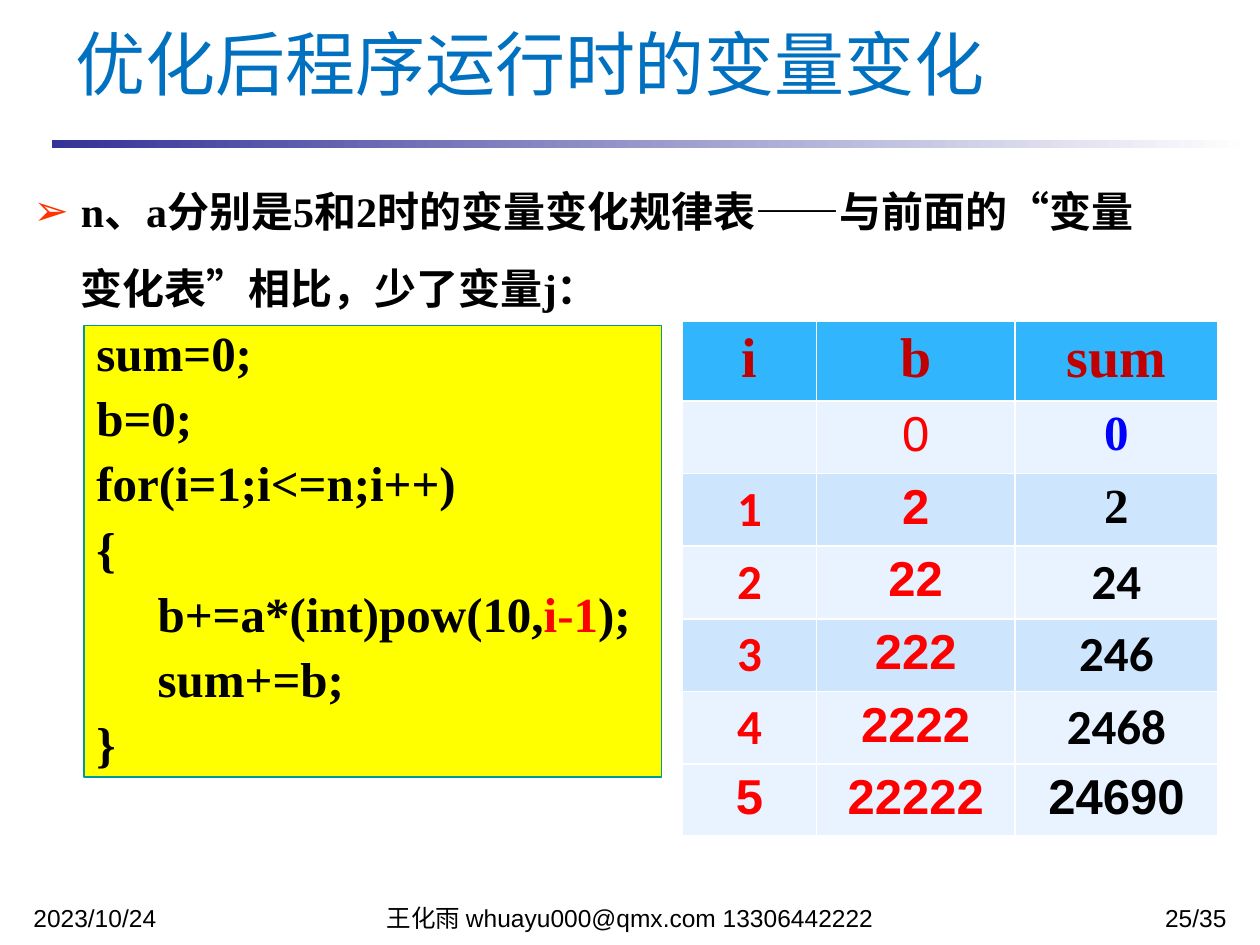
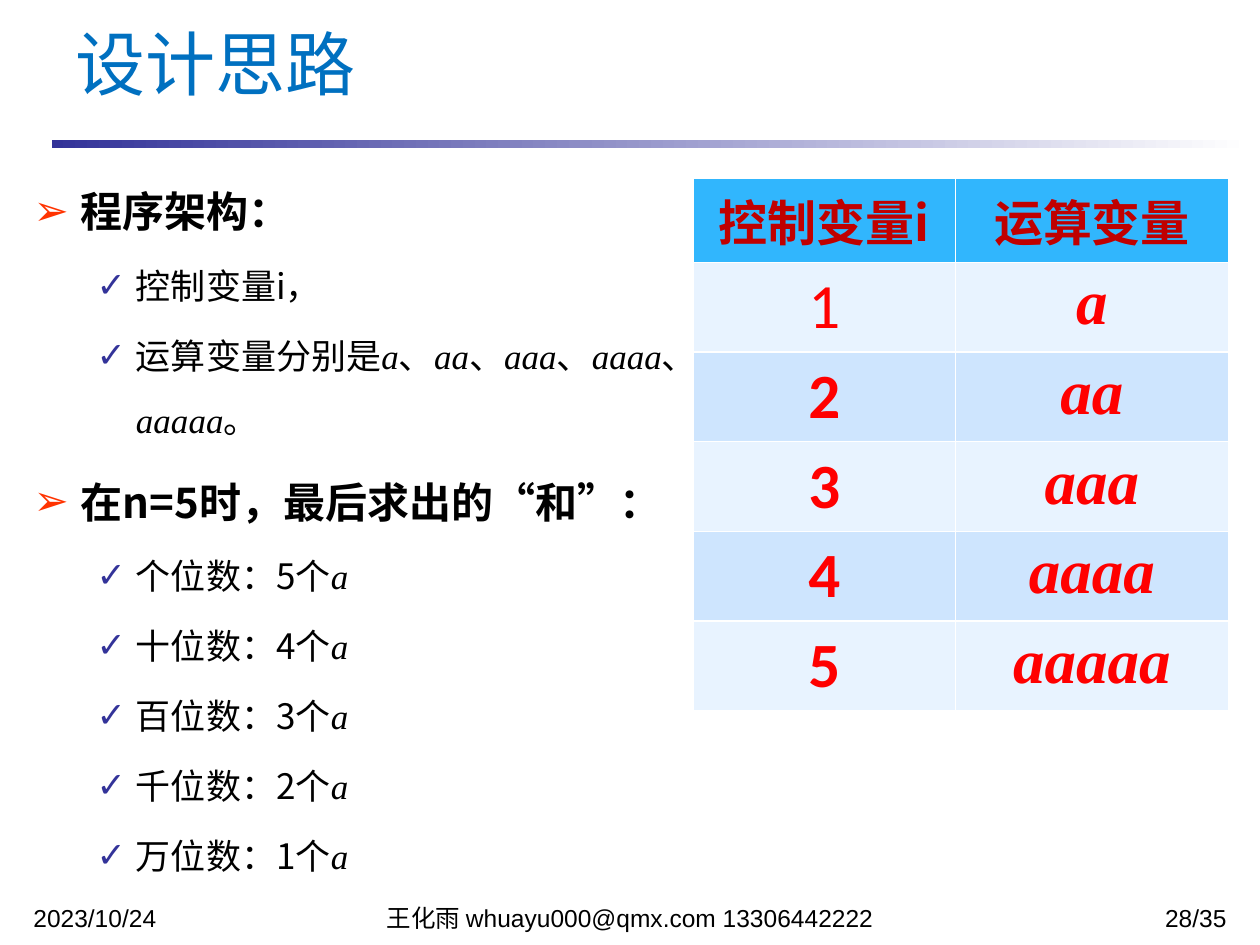
import dataclasses
import itertools

import lxml.etree
import pptx
import pptx.dml.color
import pptx.enum.shapes
import pptx.enum.text
import pptx.oxml.ns
import pptx.util

Pt = pptx.util.Pt
ALIGN = pptx.enum.text.PP_ALIGN
ANCHOR = pptx.enum.text.MSO_ANCHOR
RECT = pptx.enum.shapes.MSO_SHAPE.RECTANGLE


@dataclasses.dataclass(frozen=True)
class Theme:
    serif: str = "Times New Roman"
    sans: str = "Arial"
    digits: str = "Calibri"
    cjk: str = "Noto Sans CJK SC"
    black: str = "000000"
    white: str = "FFFFFF"
    title: str = "0070C0"
    navy: str = "333399"
    orange: str = "FF3300"
    red: str = "FF0000"
    blue: str = "0000FF"
    head_text: str = "C00000"
    head_fill: str = "31B6FD"
    light: str = "E8F3FF"
    dark: str = "CEE5FE"
    code_fill: str = "FFFF00"
    code_line: str = "009999"
    title_size: int = 40
    table_large: int = 36
    table_head: int = 32
    code_size: int = 28
    body_size: int = 24
    sub_size: int = 20
    footer_size: int = 14


T = Theme()

# level: size, bold, margin, hang, line, space before, bullet, bullet colour
LEVELS = [
    (T.body_size, True, 27, 27, 44, 5, "➢", T.orange),
    (T.sub_size, False, 58.5, 22.5, 37, 3, "✓", T.navy),
]


def rgb(value):
    return pptx.dml.color.RGBColor.from_string(value)


def add_xml(parent, tag, **attrs):
    return lxml.etree.SubElement(parent, pptx.oxml.ns.qn(tag), attrs)


def style(r, size, font=T.serif, color=T.black, bold=False, italic=False):
    f = r.font
    f.size, f.name, f.bold, f.italic = Pt(size), font, bold, italic
    f.color.rgb = rgb(color)
    add_xml(r._r.get_or_add_rPr(), "a:ea", typeface=T.cjk)


def place(sp, left, top, width, height):
    sp.left, sp.top, sp.width, sp.height = map(Pt, (left, top, width, height))


def add_rect(s, left, top, width, height):
    sp = s.shapes.add_shape(RECT, Pt(left), Pt(top), Pt(width), Pt(height))
    sp.shadow.inherit = False
    return sp


def add_rule(s):
    sp = add_rect(s, 29.5, 80, 685, 4.5)
    sp.line.fill.background()
    sp.fill.gradient()
    sp.fill.gradient_angle = 0
    for stop, color in zip(sp.fill.gradient_stops, (T.navy, T.white)):
        stop.color.rgb = rgb(color)


def add_footer(s, page):
    items = [
        (12, 168, ALIGN.LEFT, "2023/10/24"),
        (186, 348, ALIGN.CENTER, "王化雨 whuayu000@qmx.com 13306442222"),
        (570, 138, ALIGN.RIGHT, page),
    ]
    for left, width, align, text in items:
        tf = s.shapes.add_textbox(Pt(left), Pt(516), Pt(width), Pt(13)).text_frame
        tf.word_wrap = True
        tf.margin_top = Pt(1)
        tf.margin_bottom = 0
        p = tf.paragraphs[0]
        p.text = text
        p.alignment = align
        p.line_spacing = Pt(16)
        style(p.runs[0], T.footer_size, T.sans)


def add_slide(prs, title, page):
    s = prs.slides.add_slide(prs.slide_layouts[1])
    add_rule(s)
    add_footer(s, page)
    sp = s.shapes.title
    place(sp, 36, 12, 672, 48)
    tf = sp.text_frame
    tf.text = title
    tf.auto_size = pptx.enum.text.MSO_AUTO_SIZE.NONE
    tf.vertical_anchor = ANCHOR.MIDDLE
    p = tf.paragraphs[0]
    p.alignment = ALIGN.LEFT
    style(p.runs[0], T.title_size, color=T.title)
    return s


def indent(p, margin, hang=0):
    pPr = p._p.get_or_add_pPr()
    pPr.set("marL", str(Pt(margin)))
    pPr.set("indent", str(-Pt(hang)))
    return pPr


def add_list(s, box, items, font):
    sp = s.placeholders[1]
    place(sp, *box)
    tf = sp.text_frame
    tf.text = "\n".join(text for level, text in items)
    tf.auto_size = pptx.enum.text.MSO_AUTO_SIZE.NONE
    tf.margin_top = Pt(1)
    for p, (level, text) in zip(tf.paragraphs, items):
        size, bold, margin, hang, line, before, mark, color = LEVELS[level]
        p.level = level
        p.line_spacing, p.space_before = Pt(line), Pt(before)
        pPr = indent(p, margin, hang)
        add_xml(add_xml(pPr, "a:buClr"), "a:srgbClr", val=color)
        add_xml(pPr, "a:buFont", typeface=T.sans)
        add_xml(pPr, "a:buChar", char=mark)
        if level == 0:
            style(p.runs[0], size, font, bold=bold)
            continue
        p.text = ""
        for is_variable, letters in itertools.groupby(text, lambda c: c == "a"):
            r = p.add_run()
            r.text = "".join(letters)
            style(r, size, T.serif if is_variable else font, italic=is_variable)


def add_code(s, box, lines):
    sp = add_rect(s, *box)
    sp.fill.solid()
    sp.fill.fore_color.rgb = rgb(T.code_fill)
    sp.line.color.rgb = rgb(T.code_line)
    sp.line.width = Pt(0.75)
    tf = sp.text_frame
    tf.word_wrap = True
    tf.vertical_anchor = ANCHOR.MIDDLE
    for i, (margin, parts) in enumerate(lines):
        p = tf.paragraphs[0] if i == 0 else tf.add_paragraph()
        p.alignment = ALIGN.LEFT
        p.line_spacing, p.space_before = 0.9, Pt(7)
        indent(p, margin)
        for text, color in parts:
            r = p.add_run()
            r.text = text
            style(r, T.code_size, color=color, bold=True)


def add_grid(s, left, top, widths, heights, fills, rows):
    frame = s.shapes.add_table(len(rows), len(widths), Pt(left), Pt(top),
                               Pt(sum(widths)), Pt(sum(heights)))
    table = frame.table
    for column, width in zip(table.columns, widths):
        column.width = Pt(width)
    for row, height, fill, values in zip(table.rows, heights, fills, rows):
        row.height = Pt(height)
        for cell, (text, look) in zip(row.cells, values):
            cell.fill.solid()
            cell.fill.fore_color.rgb = rgb(fill)
            cell.text = text
            p = cell.text_frame.paragraphs[0]
            p.alignment = ALIGN.CENTER
            for r in p.runs:
                style(r, **look)


def look(size, font, color, bold=True, italic=False):
    return dict(size=size, font=font, color=color, bold=bold, italic=italic)


def build_variables(prs):
    s = add_slide(prs, "优化后程序运行时的变量变化", "25/35")
    text = "n、a分别是5和2时的变量变化规律表——与前面的“变量变化表”相比，少了变量j："
    add_list(s, (12, 90, 660, 48), [(0, text)], T.serif)
    add_code(s, (48, 186, 330, 258), [
        (0, [("sum=0;", T.black)]),
        (0, [("b=0;", T.black)]),
        (0, [("for(i=1;i<=n;i++)", T.black)]),
        (0, [("{", T.black)]),
        (35, [("b+=a*(int)pow(10,", T.black), ("i-1", T.red), (");", T.black)]),
        (35, [("sum+=b;", T.black)]),
        (0, [("}", T.black)]),
    ])
    size = T.code_size
    head = look(T.table_head, T.serif, T.head_text)
    index = look(size, T.digits, T.red)
    term = look(size, T.sans, T.red)
    total = look(size, T.digits, T.black)
    rows = [
        [("i", head), ("b", head), ("sum", head)],
        [("", index), ("0", look(size, T.sans, T.red, False)),
         ("0", look(size, T.serif, T.blue))],
        [("1", index), ("2", term), ("2", look(size, T.serif, T.black))],
        [("2", index), ("22", term), ("24", total)],
        [("3", index), ("222", term), ("246", total)],
        [("4", index), ("2222", term), ("2468", total)],
        [("5", term), ("22222", term), ("24690", look(size, T.sans, T.black))],
    ]
    fills = [T.head_fill] + [T.light, T.dark] * 2 + [T.light] * 2
    add_grid(s, 390, 183.5, [76.5, 113.5, 116], [42] + [41.5] * 5 + [38.5], fills, rows)


def build_design(prs):
    s = add_slide(prs, "设计思路", "28/35")
    items = [
        (0, "程序架构："),
        (1, "控制变量i，"),
        (1, "运算变量分别是a、aa、aaa、aaaa、aaaaa。"),
        (0, "在n=5时，最后求出的“和”："),
    ]
    items += [(1, f"{unit}位数：{5 - i}个a") for i, unit in enumerate("个十百千万")]
    add_list(s, (12, 90, 396, 426), items, T.cjk)
    head = look(T.code_size, T.cjk, T.head_text)
    term = look(T.table_large, T.serif, T.red, italic=True)
    rows = [[("控制变量i", head), ("运算变量", head)]]
    for n in range(1, 6):
        index = look(T.table_large, T.digits, T.red, bold=n > 1)
        rows.append([(str(n), index), ("a" * n, term)])
    fills = [T.head_fill] + [T.light, T.dark] * 2 + [T.light]
    add_grid(s, 396, 102, [150, 156], [48] + [51.25] * 5, fills, rows)


def main():
    prs = pptx.Presentation()
    prs.slide_width, prs.slide_height = Pt(720), Pt(540)
    build_variables(prs)
    build_design(prs)
    prs.save("out.pptx")


if __name__ == "__main__":
    main()
